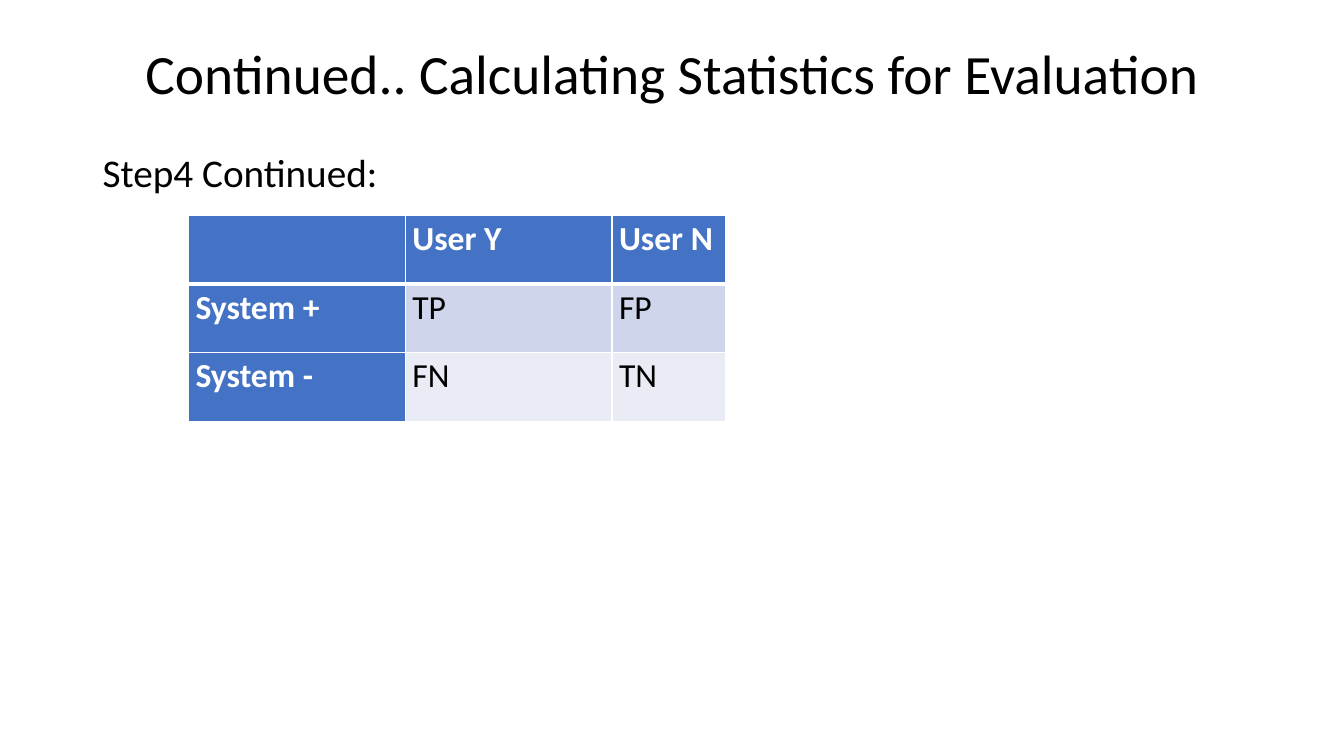
from lxml import etree
from pptx import Presentation
from pptx.dml.color import RGBColor
from pptx.enum.text import MSO_ANCHOR, PP_ALIGN
from pptx.oxml.ns import qn
from pptx.util import Inches, Pt

TOP, MIDDLE = MSO_ANCHOR.TOP, MSO_ANCHOR.MIDDLE
LEFT, CENTER = PP_ALIGN.LEFT, PP_ALIGN.CENTER
FONT = "Calibri"
COLORS = {"head": "4472C4", "odd": "CFD5EA", "even": "E9EBF5",
          "ink": "000000", "white": "FFFFFF"}
WIDTH, HEIGHT = 13.33, 7.5
MARGIN = 0.92
COLS = (2.15, 2.05, 1.13)
ROW = 0.68
CELLS = (("", "User Y", "User N"),
         ("System +", "TP", "FP"),
         ("System -", "FN", "TN"))


def color(name):
    return RGBColor.from_string(COLORS[name])


def style(para, size, ink="ink", bold=False, align=LEFT, space=0.9):
    para.alignment = align
    para.line_spacing = space
    for font in [para.font] + [run.font for run in para.runs]:
        font.name, font.size, font.bold = FONT, Pt(size), bold
        font.color.rgb = color(ink)


def add_text(slide, text, top, height, size, align=LEFT, anchor=TOP):
    box = slide.shapes.add_textbox(Inches(MARGIN), Inches(top),
                                   Inches(WIDTH - 2 * MARGIN), Inches(height))
    frame = box.text_frame
    frame.word_wrap = True
    frame.vertical_anchor = anchor
    frame.text = text
    style(frame.paragraphs[0], size, align=align)


def add_edges(cell, below):
    """Draw white cell borders, with the lower one as wide as below, in points."""
    props = cell._tc.get_or_add_tcPr()
    widths = {"a:lnL": 1, "a:lnR": 1, "a:lnT": 1, "a:lnB": below}
    for spot, (tag, width) in enumerate(widths.items()):
        line = etree.Element(qn(tag), w=str(Pt(width)))
        fill = etree.SubElement(line, qn("a:solidFill"))
        etree.SubElement(fill, qn("a:srgbClr"), val=COLORS["white"])
        props.insert(spot, line)


def fill_cell(cell, text, row, col):
    head = row == 0 or col == 0
    cell.fill.solid()
    cell.fill.fore_color.rgb = color("head" if head else "odd" if row % 2 else "even")
    cell.margin_left = cell.margin_right = Inches(0.07)
    cell.margin_top = cell.margin_bottom = 0
    cell.text = text
    style(cell.text_frame.paragraphs[0], 24, "white" if head else "ink", head, space=1.07)
    add_edges(cell, 3 if row == 0 else 1)


def add_matrix(slide, left, top):
    frame = slide.shapes.add_table(len(CELLS), len(COLS), Inches(left), Inches(top),
                                   Inches(sum(COLS)), Inches(ROW * len(CELLS)))
    table = frame.table
    table.first_col = True
    for col, width in enumerate(COLS):
        table.columns[col].width = Inches(width)
    for row, texts in enumerate(CELLS):
        table.rows[row].height = Inches(ROW)
        for col, text in enumerate(texts):
            fill_cell(table.cell(row, col), text, row, col)


def main():
    deck = Presentation()
    deck.slide_width, deck.slide_height = Inches(WIDTH), Inches(HEIGHT)
    slide = deck.slides.add_slide(deck.slide_layouts[6])
    add_text(slide, "Continued.. Calculating Statistics for Evaluation",
             0.4, 0.71, 39.6, CENTER, MIDDLE)
    add_text(slide, "Step4 Continued:", 1.47, 5.29, 28)
    add_matrix(slide, 1.87, 2.14)
    deck.save("out.pptx")


if __name__ == "__main__":
    main()
